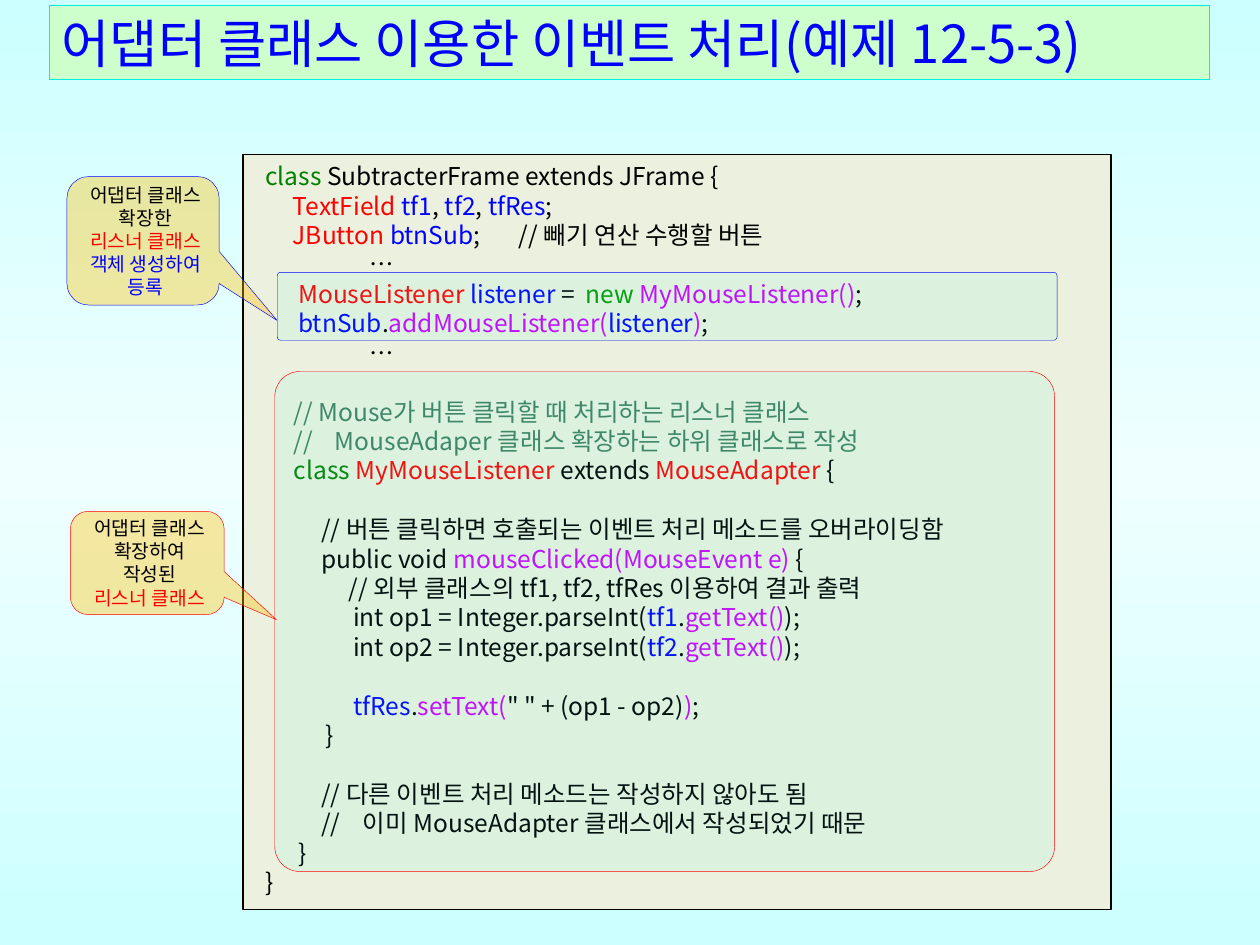
from copy import deepcopy

from lxml import etree
from pptx import Presentation
from pptx.dml.color import RGBColor
from pptx.enum.shapes import MSO_SHAPE
from pptx.enum.text import MSO_ANCHOR, MSO_AUTO_SIZE, PP_ALIGN
from pptx.oxml.ns import qn
from pptx.util import Cm, Pt

RECTANGLE = MSO_SHAPE.RECTANGLE
ROUNDED = MSO_SHAPE.ROUNDED_RECTANGLE
CALLOUT = MSO_SHAPE.ROUNDED_RECTANGULAR_CALLOUT
TOP, MIDDLE = MSO_ANCHOR.TOP, MSO_ANCHOR.MIDDLE
LEFT, CENTER = PP_ALIGN.LEFT, PP_ALIGN.CENTER
NO_FIT = MSO_AUTO_SIZE.NONE

COLORS = {
    "black": "000000", "red": "FF0000", "blue": "0000FF",
    "green": "008000", "new": "009900", "purple": "CC00FF",
    "comment": "3F7F5F", "paper": "EBF1DE", "mint": "CCFFCC",
    "aqua": "03EDE2", "highlight": "33FBE8", "amber": "FFC000",
    "sky": "CCFFFF", "pale": "F0FFFF",
}
TITLE = "어댑터 클래스 이용한 이벤트 처리(예제 12-5-3)"
CODE_INDENT = 0.2


def plain(text):
    return [("black", text)]


def parse_line(number):
    return [("black", f"                int op{number} = Integer.parseInt("),
            ("blue", f"tf{number}"), ("black", "."),
            ("purple", "getText()"), ("black", ");")]


# Each code line: left indent in cm, empty lines above, coloured spans
CODE = [
    (CODE_INDENT, 0, [("green", "class "), ("black", "SubtracterFrame extends JFrame {")]),
    (CODE_INDENT, 0, [("red", "     TextField "), ("blue", "tf1"), ("black", ", "),
                      ("blue", "tf2"), ("black", ", "), ("blue", "tfRes"), ("black", ";")]),
    (CODE_INDENT, 0, [("red", "     JButton "), ("blue", "btnSub"),
                      ("black", ";       // 빼기 연산 수행할 버튼")]),
    (CODE_INDENT, 0, plain("                   …")),
    (CODE_INDENT, 0, [("red", "      MouseListener "), ("blue", "listener"), ("black", " =  "),
                      ("new", "new "), ("purple", "MyMouseListener()"), ("black", ";")]),
    (CODE_INDENT, 0, [("blue", "      btnSub"), ("black", "."), ("purple", "addMouseListener("),
                      ("blue", "listener"), ("purple", ")"), ("black", ";")]),
    (CODE_INDENT, 0, plain("                   …")),
    (0, 1, [("comment", "       // Mouse가 버튼 클릭할 때 처리하는 리스너 클래스")]),
    (0, 0, [("comment", "       //    MouseAdaper 클래스 확장하는 하위 클래스로 작성")]),
    (0, 0, [("green", "       class "), ("red", "MyMouseListener "), ("black", "extends "),
            ("red", "MouseAdapter"), ("black", " {")]),
    (0, 1, plain("            // 버튼 클릭하면 호출되는 이벤트 처리 메소드를 오버라이딩함")),
    (0, 0, [("black", "            public void "), ("purple", "mouseClicked(MouseEvent e)"),
            ("black", " {")]),
    (0, 0, plain("                 // 외부 클래스의 tf1, tf2, tfRes 이용하여 결과 출력")),
    (CODE_INDENT, 0, parse_line(1)),
    (CODE_INDENT, 0, parse_line(2)),
    (CODE_INDENT, 1, [("blue", "                tfRes"), ("black", "."), ("purple", "setText("),
                      ("black", '" " + (op1 - op2)'), ("purple", ")"), ("black", ";")]),
    (CODE_INDENT, 0, plain("           }")),
    (0, 1, plain("            // 다른 이벤트 처리 메소드는 작성하지 않아도 됨")),
    (0, 0, plain("            //    이미 MouseAdapter 클래스에서 작성되었기 때문")),
    (CODE_INDENT, 0, plain("      }")),
    (CODE_INDENT, 0, plain("}")),
]

REGISTER_NOTE = [
    plain("어댑터 클래스"), plain("확장한"),
    [("red", "리스너 클래스"), ("blue", " 객체 생성하여 등록")],
]
LISTENER_NOTE = [
    plain("어댑터 클래스"), plain("확장하여"), plain("작성된"),
    [("red", "리스너 클래스")],
]


class SlideBuilder:
    font_name = "Noto Sans CJK KR"
    line_ratio = 1.2

    def __init__(self, slide):
        self.slide = slide

    @staticmethod
    def color(name):
        return RGBColor.from_string(COLORS[name])

    def background(self, edge, middle):
        fill = self.slide.background.fill
        fill.gradient()
        fill.gradient_angle = 90
        first = next(self.slide._element.iter(qn("a:gs")))
        first.addnext(deepcopy(first))
        for stop, position, name in zip(fill.gradient_stops, (0, 0.5, 1), (edge, middle, edge)):
            stop.position = position
            stop.color.rgb = self.color(name)

    def paint(self, shape, fill, line, width, alpha=100):
        shape.fill.solid()
        shape.fill.fore_color.rgb = self.color(fill)
        if alpha < 100:
            tint = shape._element.spPr.find(qn("a:solidFill"))[0]
            etree.SubElement(tint, qn("a:alpha")).set("val", str(alpha * 1000))
        shape.line.color.rgb = self.color(line)
        shape.line.width = Pt(width)

    def add_text(self, shape, rows, size, align=LEFT, anchor=TOP, margins=(0.25, 0.13)):
        frame = shape.text_frame
        frame.word_wrap = True
        frame.auto_size = NO_FIT
        frame.vertical_anchor = anchor
        frame.margin_left = frame.margin_right = Cm(margins[0])
        frame.margin_top = frame.margin_bottom = Cm(margins[1])
        pitch = size * self.line_ratio
        for number, (indent, gap, spans) in enumerate(rows):
            para = frame.add_paragraph() if number else frame.paragraphs[0]
            para.alignment = align
            para.line_spacing = Pt(pitch)
            if gap:
                para.space_before = Pt(gap * pitch)
            properties = para._p.get_or_add_pPr()
            properties.set("marL", str(Cm(indent)))
            properties.set("indent", "0")
            para.font.size = Pt(size)
            para.font.name = self.font_name
            defaults = properties.find(qn("a:defRPr"))
            etree.SubElement(defaults, qn("a:ea")).set("typeface", self.font_name)
            for name, text in spans:
                span = para.add_run()
                span.text = text
                span.font.color.rgb = self.color(name)

    def title(self, text, left, top, width, height):
        title = self.slide.shapes.title
        title.left, title.top = Cm(left), Cm(top)
        title.width, title.height = Cm(width), Cm(height)
        self.paint(title, "mint", "aqua", 0.25)
        self.add_text(title, [(0, 0, [("blue", text)])], 30, anchor=MIDDLE)

    def box(self, kind, left, top, width, height, adjustments=()):
        box = self.slide.shapes.add_shape(kind, Cm(left), Cm(top), Cm(width), Cm(height))
        box.shadow.inherit = False
        for number, value in enumerate(adjustments):
            box.adjustments[number] = value
        return box

    def code_panel(self, rows, *place):
        panel = self.box(RECTANGLE, *place)
        self.paint(panel, "paper", "black", 0.75)
        self.add_text(panel, rows, 14)

    def highlight(self, line, *place):
        self.paint(self.box(ROUNDED, *place, adjustments=(0.05,)), "highlight", line, 0.25, alpha=8)

    def callout(self, paragraphs, line, tip, *place):
        callout = self.box(CALLOUT, *place, adjustments=(*tip, 0.17))
        self.paint(callout, "amber", line, 0.25, alpha=37)
        rows = [(0.1, 0, spans) for spans in paragraphs]
        self.add_text(callout, rows, 11, align=CENTER, margins=(0, 0))


def main():
    deck = Presentation()
    deck.slide_width, deck.slide_height = Cm(25.4), Cm(19.05)
    page = SlideBuilder(deck.slides.add_slide(deck.slide_layouts[5]))

    # Background and title
    page.background("sky", "pale")
    page.title(TITLE, 0.99, 0.1, 23.39, 1.5)

    # Code listing
    page.code_panel(CODE, 4.9, 3.12, 17.5, 15.21)

    # Listener registration
    page.highlight("blue", 5.59, 5.49, 15.72, 1.37)
    page.callout(REGISTER_NOTE, "blue", (0.88, 0.62), 1.35, 3.56, 3.07, 2.59)

    # Listener class
    page.highlight("red", 5.54, 7.49, 15.72, 10.08)
    page.callout(LISTENER_NOTE, "red", (0.84, 0.55), 1.42, 10.31, 3.1, 2.08)

    deck.save("out.pptx")


if __name__ == "__main__":
    main()
